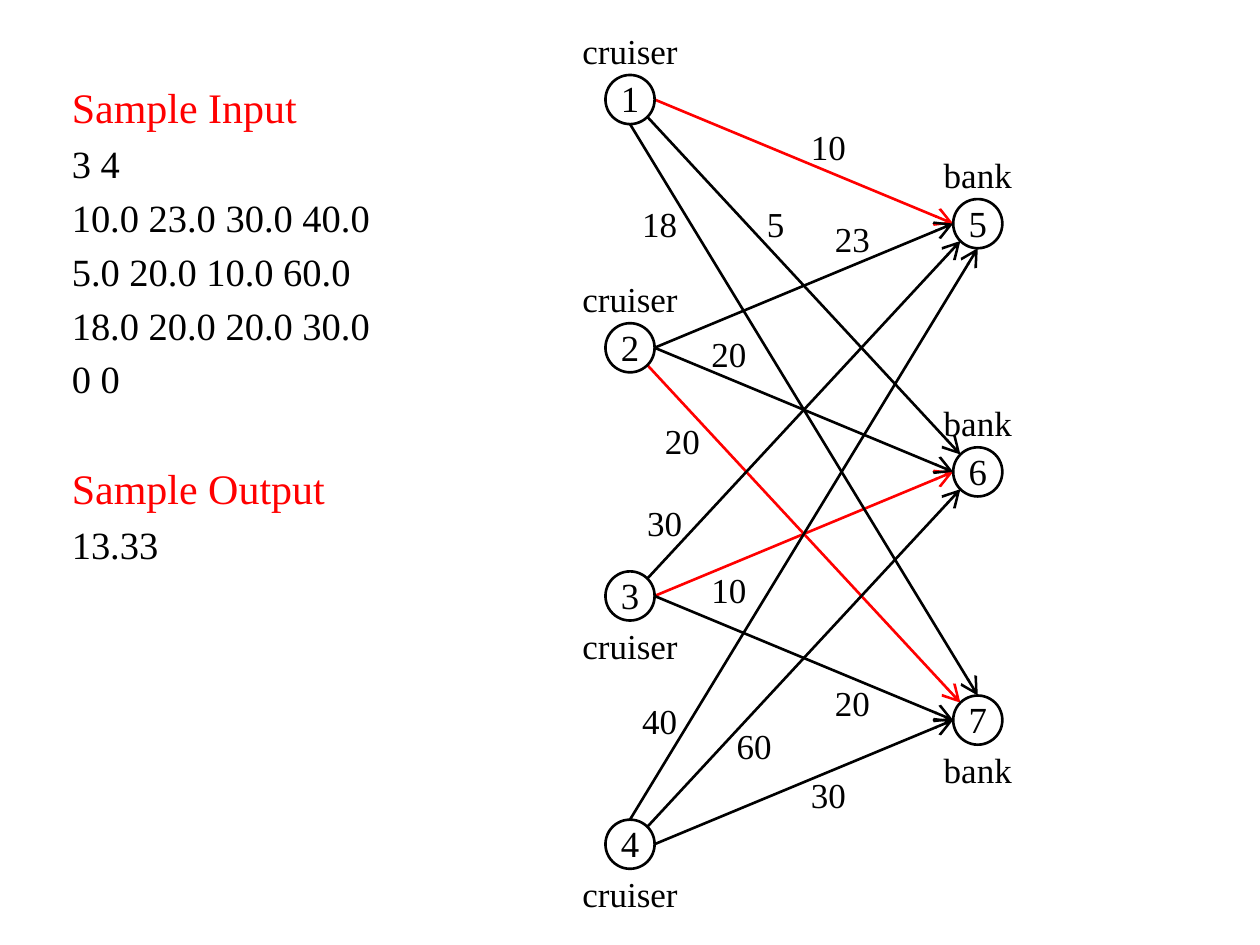
import dataclasses
import math

import lxml.etree
import pptx
import pptx.dml.color
import pptx.enum.shapes
import pptx.enum.text
import pptx.oxml.ns
import pptx.util

Inches = pptx.util.Inches
Pt = pptx.util.Pt
RGB = pptx.dml.color.RGBColor


@dataclasses.dataclass(frozen=True)
class Theme:
    font: str = "Times New Roman"
    ink: RGB = RGB(0, 0, 0)
    accent: RGB = RGB(255, 0, 0)
    paper: RGB = RGB(255, 255, 255)
    heading_size: float = 24
    sample_size: float = 22
    node_size: float = 21
    label_size: float = 20
    line_width: float = 1.5


@dataclasses.dataclass(frozen=True)
class Node:
    number: int
    kind: str
    x: float
    row: int
    name_above: bool

    @property
    def y(self) -> float:
        return TOP_ROW + self.row * ROW_STEP


@dataclasses.dataclass(frozen=True)
class Edge:
    start: int
    end: int
    chosen: bool = False


@dataclasses.dataclass(frozen=True)
class Cost:
    text: str
    left: float
    top: float
    insets: tuple[float, float, float, float] = (0, 0, 0, 0)


@dataclasses.dataclass(frozen=True)
class Sample:
    heading: str
    lines: tuple[str, ...]


THEME = Theme()
DIAMETER = 0.39
TOP_ROW, ROW_STEP = 0.79, 1.97 / 2
CRUISER_X, BANK_X = 5.0, 7.76
NAME_WIDTH = 0.79
LINE_GAP, SECTION_GAP = 4.4, 34.8

SAMPLES = [
    Sample("Sample Input", ("3 4", "10.0 23.0 30.0 40.0", "5.0 20.0 10.0 60.0",
                            "18.0 20.0 20.0 30.0", "0 0")),
    Sample("Sample Output", ("13.33",)),
]
NODES = [Node(i + 1, "cruiser", CRUISER_X, 2 * i, i < 2) for i in range(4)]
NODES += [Node(i + 5, "bank", BANK_X, 2 * i + 1, i < 2) for i in range(3)]
EDGES = [
    Edge(2, 7, True), Edge(3, 6, True), Edge(1, 5, True),
    Edge(3, 5), Edge(2, 5), Edge(4, 6), Edge(4, 5), Edge(2, 6),
    Edge(3, 7), Edge(4, 7), Edge(1, 7), Edge(1, 6),
]
COSTS = [
    Cost("10", 6.38, 0.99, (0, 0, 0, 0.04)),
    Cost("23", 6.57, 1.78, (0, 0, 0, 0.16)),
    Cost("30", 5.08, 3.95),
    Cost("40", 5.04, 5.52),
    Cost("5", 5.98, 1.58, (0, 0, 0.04, 0)),
    Cost("20", 5.59, 2.57, (0, 0.08, 0, 0)),
    Cost("10", 5.59, 4.54, (0, 0, 0, 0.12)),
    Cost("60", 5.79, 5.72),
    Cost("18", 5.0, 1.58, (0.08, 0, 0, 0)),
    Cost("20", 5.2, 3.36, (0.04, 0, 0, 0.12)),
    Cost("20", 6.57, 5.32, (0, 0.12, 0, 0)),
    Cost("30", 6.38, 6.11),
]


def add_span(para, text: str, size: float, color: RGB = THEME.ink) -> None:
    span = para.add_run()
    span.text = text
    span.font.name = THEME.font
    span.font.size = Pt(size)
    span.font.color.rgb = color


def set_insets(frame, left: float, top: float, right: float, bottom: float) -> None:
    frame.margin_left, frame.margin_top = Inches(left), Inches(top)
    frame.margin_right, frame.margin_bottom = Inches(right), Inches(bottom)


def fill_centred(frame, text: str, size: float, insets: tuple) -> None:
    set_insets(frame, *insets)
    frame.word_wrap = False
    frame.vertical_anchor = pptx.enum.text.MSO_ANCHOR.MIDDLE
    para = frame.paragraphs[0]
    para.alignment = pptx.enum.text.PP_ALIGN.CENTER
    add_span(para, text, size)


def add_label(page, text: str, left: float, top: float, width: float = DIAMETER,
              insets: tuple = (0, 0, 0, 0)) -> None:
    box = page.shapes.add_textbox(Inches(left), Inches(top), Inches(width), Inches(DIAMETER))
    fill_centred(box.text_frame, text, THEME.label_size, insets)


def add_node(page, node: Node) -> None:
    radius = DIAMETER / 2
    circle = page.shapes.add_shape(
        pptx.enum.shapes.MSO_SHAPE.OVAL, Inches(node.x - radius), Inches(node.y - radius),
        Inches(DIAMETER), Inches(DIAMETER))
    circle.shadow.inherit = False
    circle.fill.solid()
    circle.fill.fore_color.rgb = THEME.paper
    circle.line.color.rgb = THEME.ink
    circle.line.width = Pt(THEME.line_width)
    fill_centred(circle.text_frame, str(node.number), THEME.node_size, (0, 0, 0, 0.02))
    name_top = node.y - radius - DIAMETER if node.name_above else node.y + radius
    add_label(page, node.kind, node.x - NAME_WIDTH / 2, name_top, NAME_WIDTH)


def add_edge(page, edge: Edge) -> None:
    """Leave and enter the circles at 0, 45 or 90 degrees for 1, 3 or 5 rows apart."""
    start, end = NODES[edge.start - 1], NODES[edge.end - 1]
    rows = end.row - start.row
    angle = math.copysign(math.radians(45 * (abs(rows) // 2)), rows)
    dx, dy = DIAMETER / 2 * math.cos(angle), DIAMETER / 2 * math.sin(angle)
    arrow = page.shapes.add_connector(
        pptx.enum.shapes.MSO_CONNECTOR.STRAIGHT, Inches(start.x + dx), Inches(start.y + dy),
        Inches(end.x - dx), Inches(end.y - dy))
    arrow.line.color.rgb = THEME.accent if edge.chosen else THEME.ink
    arrow.line.width = Pt(THEME.line_width)
    qn = pptx.oxml.ns.qn
    lxml.etree.SubElement(arrow.line._get_or_add_ln(), qn("a:tailEnd"),
                          type="arrow", w="lg", len="lg")
    lxml.etree.SubElement(arrow._element.spPr, qn("a:effectLst"))


def add_samples(body) -> None:
    body.left, body.top, body.width, body.height = map(Inches, (0.47, 0.6, 2.76, 4.13))
    frame = body.text_frame
    frame.auto_size = pptx.enum.text.MSO_AUTO_SIZE.NONE
    frame.word_wrap = True
    set_insets(frame, 0.1, 0.05, 0.1, 0.05)
    para = frame.paragraphs[0]
    for index, sample in enumerate(SAMPLES):
        if index:
            para = frame.add_paragraph()
        format_sample_line(para, SECTION_GAP if index else 0)
        add_span(para, sample.heading, THEME.heading_size, THEME.accent)
        for line in sample.lines:
            para = frame.add_paragraph()
            format_sample_line(para, LINE_GAP)
            add_span(para, line, THEME.sample_size)


def format_sample_line(para, gap: float) -> None:
    properties = para._p.get_or_add_pPr()
    properties.set("marL", "0")
    properties.set("indent", "0")
    lxml.etree.SubElement(properties, pptx.oxml.ns.qn("a:buNone"))
    para.space_before = Pt(gap)


def main() -> None:
    deck = pptx.Presentation()
    deck.slide_width, deck.slide_height = Inches(10), Inches(7.5)
    page = deck.slides.add_slide(deck.slide_layouts[1])
    title = page.shapes.title._element
    title.getparent().remove(title)
    add_samples(page.placeholders[1])
    for edge in EDGES:
        add_edge(page, edge)
    for node in NODES:
        add_node(page, node)
    for cost in COSTS:
        add_label(page, cost.text, cost.left, cost.top, insets=cost.insets)
    deck.save("out.pptx")


if __name__ == "__main__":
    main()
